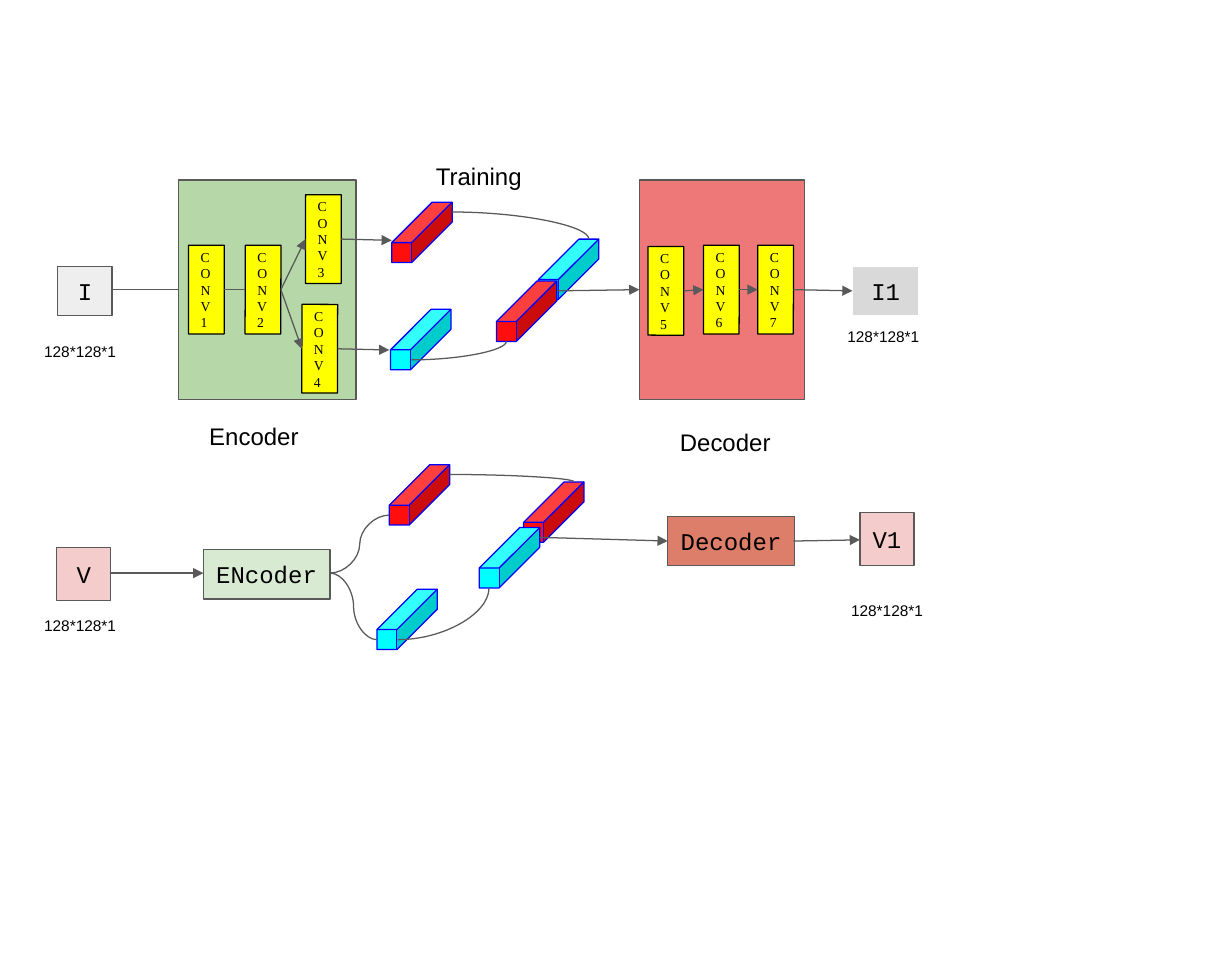
from dataclasses import dataclass

from lxml import etree
from pptx import Presentation, util as u
from pptx.dml.color import RGBColor
from pptx.enum import shapes, text
from pptx.oxml.ns import qn

RED, CYAN, YELLOW, PINK = "FF0E0E", "00FFFF", "FFFF00", "F4CCCC"


def color(hex_code):
    return RGBColor.from_string(hex_code)


def write(shape, content, size=14, font="Arial", align=None, anchor=text.MSO_ANCHOR.TOP):
    """Put text in a shape, one paragraph per line."""
    frame = shape.text_frame
    frame.word_wrap = True
    frame.vertical_anchor = anchor
    frame.margin_left = frame.margin_right = u.Inches(0.1)
    frame.margin_top = frame.margin_bottom = u.Inches(0.1)
    frame.text = content
    for paragraph in frame.paragraphs:
        paragraph.alignment = align or text.PP_ALIGN.LEFT
        paragraph.font.size = u.Pt(size)
        paragraph.font.name = font
        paragraph.font.color.rgb = color("000000")


@dataclass
class Diagram:
    slide: object
    line_color: str = "595959"
    line_width: float = 0.75
    box_font: str = "Courier New"
    layer_font: str = "Times New Roman"

    def shape(self, kind, left, top, width, height, fill, line):
        shape = self.slide.shapes.add_shape(
            kind, u.Inches(left), u.Inches(top), u.Inches(width), u.Inches(height))
        shape.shadow.inherit = False
        shape.fill.solid()
        shape.fill.fore_color.rgb = color(fill)
        shape.line.color.rgb = color(line)
        shape.line.width = u.Pt(self.line_width)
        return shape

    def box(self, left, top, width, height, fill, content="", line=None):
        box = self.shape(shapes.MSO_SHAPE.RECTANGLE, left, top, width, height,
                         fill, line or self.line_color)
        if content:
            write(box, content, font=self.box_font, align=text.PP_ALIGN.CENTER,
                  anchor=text.MSO_ANCHOR.MIDDLE)

    def layer(self, number, left, top):
        """A narrow box in which CONV wraps letter by letter."""
        layer = self.shape(shapes.MSO_SHAPE.RECTANGLE, left, top, 0.29, 0.72,
                           YELLOW, "000000")
        layer.rotation = 0.1
        write(layer, f"CONV\n{number}", size=8, font=self.layer_font,
              anchor=text.MSO_ANCHOR.MIDDLE)

    def cube(self, left, top, fill):
        cube = self.shape(shapes.MSO_SHAPE.CUBE, left, top, 0.49, 0.49, fill, "0000FF")
        cube.adjustments[0] = 0.67

    def label(self, content, left, top, width=0.83, height=0.35, size=9):
        label = self.slide.shapes.add_textbox(
            u.Inches(left), u.Inches(top), u.Inches(width), u.Inches(height))
        write(label, content, size=size)
        label.text_frame.auto_size = text.MSO_AUTO_SIZE.SHAPE_TO_FIT_TEXT

    def connector(self, start, end, arrow=False, curve=None):
        kind = shapes.MSO_CONNECTOR.CURVE if curve else shapes.MSO_CONNECTOR.STRAIGHT
        connector = self.slide.shapes.add_connector(
            kind, *(u.Inches(value) for value in (*start, *end)))
        connector.line.color.rgb = color(self.line_color)
        connector.line.width = u.Pt(self.line_width)
        properties = connector._element.spPr
        if curve:
            properties.find(qn("a:prstGeom")).set("prst", curve)
        if arrow:
            etree.SubElement(connector.line._get_or_add_ln(), qn("a:tailEnd"), type="triangle")
        etree.SubElement(properties, qn("a:effectLst"))


presentation = Presentation()
presentation.slide_width = u.Inches(10)
presentation.slide_height = u.Inches(7.87)
diagram = Diagram(presentation.slides.add_slide(presentation.slide_layouts[6]))

# Training: input, encoder and decoder panels, output
diagram.box(0.47, 2.16, 0.44, 0.4, "EEEEEE", "I")
diagram.box(1.45, 1.46, 1.44, 1.78, "B6D7A8")
diagram.box(5.19, 1.46, 1.34, 1.78, "EE7878")
diagram.box(6.92, 2.16, 0.54, 0.4, "D9D9D9", "I1", line="FFFFFF")

# Convolution layers
for number, left, top in [(1, 1.53, 1.99), (2, 1.99, 1.99), (4, 2.45, 2.47), (3, 2.48, 1.58),
                          (5, 5.26, 2), (6, 5.71, 1.99), (7, 6.15, 1.99)]:
    diagram.layer(number, left, top)

# Testing: input, encoder, decoder, output
diagram.box(0.46, 4.44, 0.44, 0.43, PINK, "V")
diagram.box(1.65, 4.46, 1.03, 0.4, "D9EAD3", "ENcoder")
diagram.box(5.42, 4.19, 1.03, 0.4, "DD7E6B", "Decoder")
diagram.box(6.98, 4.16, 0.44, 0.43, PINK, "V1")

# Feature cubes of both rows
for left, top, fill in [(3.18, 1.64, RED), (3.17, 2.51, CYAN), (4.37, 1.94, CYAN),
                        (4.03, 2.28, RED), (3.16, 3.77, RED), (3.06, 4.78, CYAN),
                        (4.25, 3.91, RED), (3.89, 4.28, CYAN)]:
    diagram.cube(left, top, fill)

# Plain lines
diagram.connector((0.9, 2.35), (1.45, 2.35))
diagram.connector((1.82, 2.35), (1.99, 2.35))

# Arrows
for start, end in [((2.28, 2.35), (2.48, 1.94)), ((2.28, 2.35), (2.45, 2.83)),
                   ((2.77, 1.94), (3.18, 1.95)), ((2.74, 2.83), (3.16, 2.84)),
                   ((4.52, 2.36), (5.19, 2.35)), ((5.55, 2.36), (5.71, 2.35)),
                   ((6, 2.35), (6.15, 2.35)), ((6.44, 2.35), (6.92, 2.36)),
                   ((0.89, 4.65), (1.65, 4.65)), ((4.38, 4.36), (5.42, 4.39)),
                   ((6.44, 4.39), (6.98, 4.38))]:
    diagram.connector(start, end, arrow=True)

# Quarter curves join cubes, S-curves leave the encoder
for start, end in [((3.67, 1.72), (4.78, 1.94)), ((3.34, 2.92), (4.11, 2.77)),
                   ((3.65, 3.85), (4.66, 3.91)), ((3.23, 5.19), (3.97, 4.77))]:
    diagram.connector(start, end, curve="curvedConnector2")
for end in [(3.16, 4.18), (3.06, 5.19)]:
    diagram.connector((2.68, 4.65), end, curve="curvedConnector3")

# Labels
for left, top in [(0.26, 2.7), (0.26, 4.92), (6.78, 2.58), (6.81, 4.8)]:
    diagram.label("128*128*1", left, top)
for content, left, top, width in [("Encoder", 1.6, 3.32, 0.96), ("Decoder", 5.42, 3.37, 1.04),
                                  ("Training", 3.44, 1.21, 1.34)]:
    diagram.label(content, left, top, width, 0.44, size=14)

presentation.save("out.pptx")
